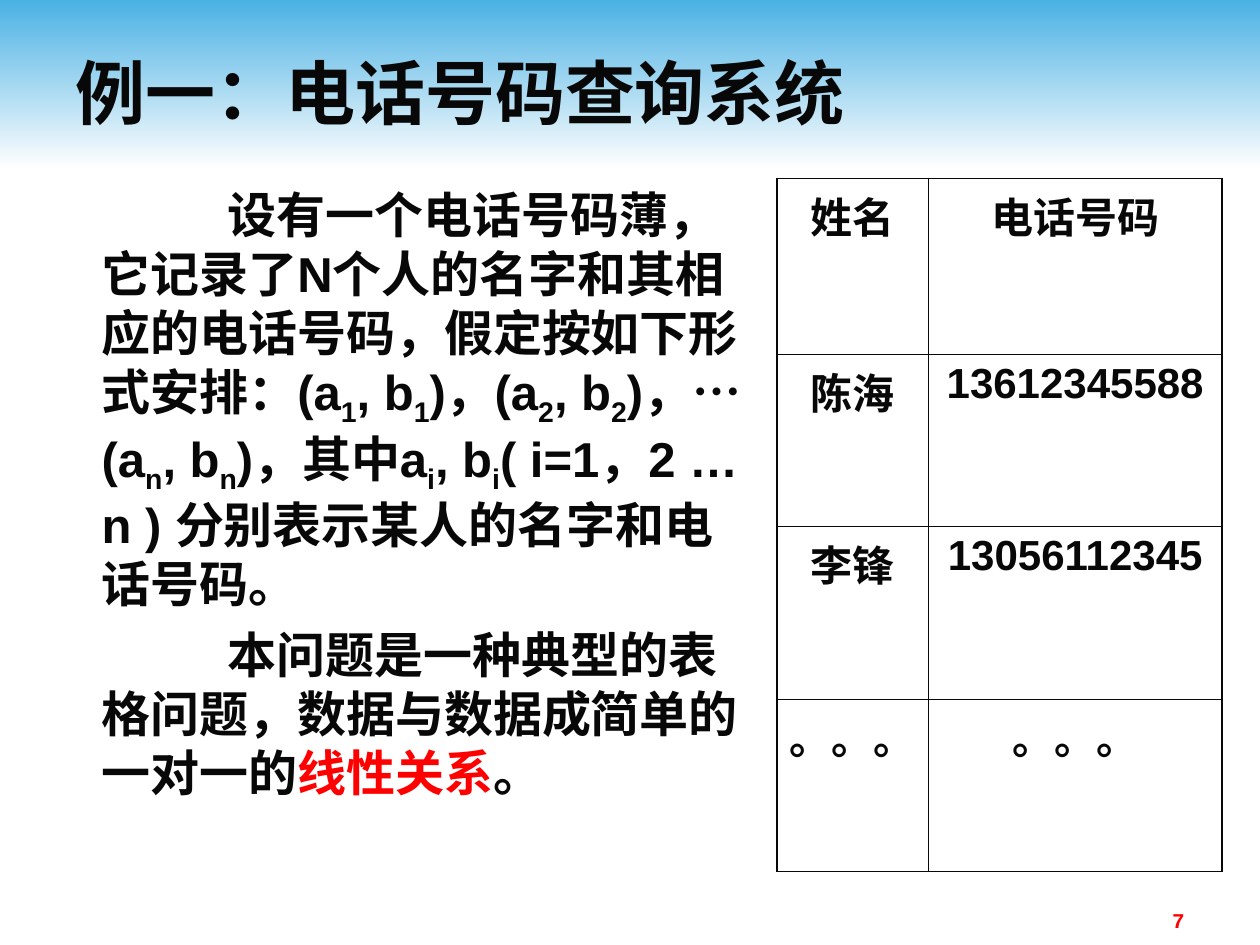
from lxml.etree import SubElement
from pptx import Presentation
from pptx.dml.color import RGBColor
from pptx.enum.shapes import MSO_SHAPE
from pptx.enum.text import MSO_ANCHOR, MSO_AUTO_SIZE, PP_ALIGN
from pptx.oxml.ns import qn
from pptx.util import Pt

COLORS = {"ink": "080808", "red": "FF0000", "sky": "4AB1E4", "white": "FEFEFE"}


def style(font, size, color="ink", name="Arial"):
    values = {"size": Pt(size), "bold": True, "name": name}
    for key, value in values.items():
        setattr(font, key, value)
    font.color.rgb = RGBColor.from_string(COLORS[color])


def border(cell, side, width):
    ln = SubElement(cell._tc.get_or_add_tcPr(), qn(f"a:ln{side}"), w=str(Pt(width)))
    fill = SubElement(ln, qn("a:solidFill"))
    SubElement(fill, qn("a:srgbClr"), val=COLORS["ink"])


prs = Presentation()
prs.slide_width, prs.slide_height = Pt(720), Pt(540)
s = prs.slides.add_slide(prs.slide_layouts[5])

band = s.shapes.add_shape(MSO_SHAPE.RECTANGLE, 0, 0, Pt(720), Pt(96))
band.shadow.inherit = False
band.line.fill.background()
band.fill.gradient()
band.fill.gradient_angle = 270
for stop, color in zip(band.fill.gradient_stops, ("sky", "white")):
    stop.color.rgb = RGBColor.from_string(COLORS[color])
s.shapes._spTree.insert(2, band._element)

title = s.shapes.title
box = {"left": Pt(36), "top": Pt(18), "width": Pt(648), "height": Pt(68.4)}
for key, value in box.items():
    setattr(title, key, value)
tf = title.text_frame
tf.auto_size = MSO_AUTO_SIZE.NONE
tf.vertical_anchor = MSO_ANCHOR.MIDDLE
p = tf.paragraphs[0]
p.alignment = PP_ALIGN.LEFT
r = p.add_run()
r.text = "例一：电话号码查询系统"
style(r.font, 40)

body = [
    ("设有一个电话号码薄，它记录了N个人的名字和其相应的电话号码，假定按如下形式安排："
     "(a|1|, b|1|)，(a|2|, b|2|)，… (a|n|, b|n|)，其中a|i|, b|i|"
     "( i=1，2 … n ) 分别表示某人的名字和电话号码。", "subscript"),
    ("本问题是一种典型的表格问题，数据与数据成简单的一对一的|线性关系|。", "red"),
]
tf = s.shapes.add_textbox(Pt(24), Pt(102), Pt(408), Pt(396)).text_frame
tf.word_wrap = True
for i, (text, mark) in enumerate(body):
    p = tf.add_paragraph() if i else tf.paragraphs[0]
    p.space_before = Pt(7 if i else 0)
    pPr = p._p.get_or_add_pPr()
    pPr.set("marL", str(Pt(27)))
    pPr.set("indent", str(Pt(72)))
    for j, part in enumerate(text.split("|")):
        r = p.add_run()
        r.text = part
        marked = j % 2 == 1
        style(r.font, 28, "red" if marked and mark == "red" else "ink")
        if marked and mark == "subscript":
            r._r.get_or_add_rPr().set("baseline", "-25000")

rows = [
    ("姓名", "电话号码"),
    ("陈海", "13612345588"),
    ("李锋", "13056112345"),
    ("。。。", "。。。"),
]
table = s.shapes.add_table(4, 2, Pt(444), Pt(102), Pt(254.4), Pt(396)).table
table.first_row = table.horz_banding = False
for column, width in zip(table.columns, (86.4, 168)):
    column.width = Pt(width)
for row, height in zip(table.rows, (100.4, 98.4, 98.8, 98.4)):
    row.height = Pt(height)
for i, row in enumerate(rows):
    for j, text in enumerate(row):
        cell = table.cell(i, j)
        outer = {"L": j == 0, "R": j == 1, "T": i == 0, "B": i == 3}
        for side, edge in outer.items():
            border(cell, side, 1.08 if edge else 0.45)
        cell.fill.background()
        p = cell.text_frame.paragraphs[0]
        p.alignment = PP_ALIGN.CENTER
        r = p.add_run()
        r.text = text
        style(r.font, 24)

tf = s.shapes.add_textbox(Pt(516), Pt(514.8), Pt(168), Pt(19.4)).text_frame
tf.word_wrap = True
p = tf.paragraphs[0]
p.alignment = PP_ALIGN.RIGHT
r = p.add_run()
r.text = "7"
style(r.font, 12, "red", "Courier New")

prs.save("out.pptx")
